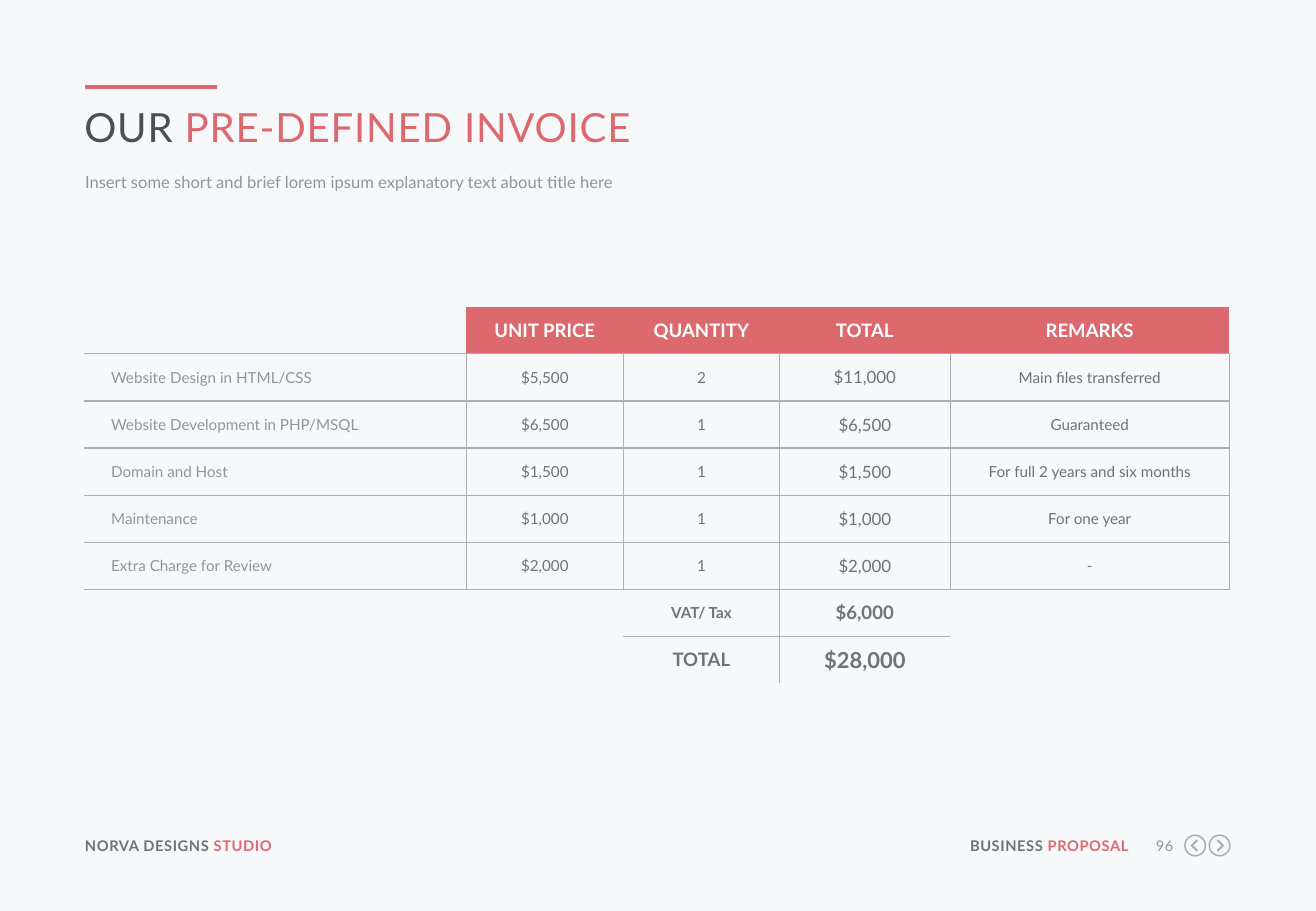
from lxml.etree import SubElement as Sub
from pptx import Presentation
from pptx.dml.color import RGBColor as RGB
from pptx.enum.shapes import MSO_CONNECTOR as Conn, MSO_SHAPE as Shape
from pptx.enum.text import MSO_ANCHOR as Anchor, MSO_AUTO_SIZE as Fit, PP_ALIGN as Align
from pptx.oxml.ns import qn
from pptx.util import Pt

RED, DARK, GREY, SOFT, RULE = "DC696E", "4B5050", "6E7378", "91969B", "AAAFB4"
PAPER, WHITE = "F6F8FA", "FFFFFF"

HEAD = ["", "UNIT PRICE", "QUANTITY", "TOTAL", "REMARKS"]
ITEMS = [
    ["Website Design in HTML/CSS", "$5,500", "2", "$11,000", "Main files transferred"],
    ["Website Development in PHP/MSQL", "$6,500", "1", "$6,500", "Guaranteed"],
    ["Domain and Host", "$1,500", "1", "$1,500", "For full 2 years and six months"],
    ["Maintenance", "$1,000", "1", "$1,000", "For one year"],
    ["Extra Charge for Review", "$2,000", "1", "$2,000", "-"],
]
SUMS = [["", "", "VAT/ Tax", "$6,000", ""], ["", "", "TOTAL", "$28,000", ""]]
WIDTHS = [226.4, 93.3, 92.4, 101.3, 165.3]
ROW = 27.9

# Text sizes and drawn cell sides, row by row
SIZES = [[11] * 5] + [[9, 9, 9, 10, 9]] * len(ITEMS) + [[9, 9, 9, 11, 9], [9, 9, 11, 13, 9]]
SIDES = (
    [["RB"] + ["LRB"] * 4]
    + [["RTB"] + ["LRTB"] * 4] * len(ITEMS)
    + [["T", "T", "RTB", "LTB", "T"], ["", "", "RT", "LT", ""]]
)


def rgb(code):
    return RGB.from_string(code)


class Deck:
    """Holds the font and the current slide."""

    def __init__(self, font, wide, high):
        self.font = font
        self.prs = Presentation()
        self.prs.slide_width, self.prs.slide_height = Pt(wide), Pt(high)
        self.slide = self.prs.slides.add_slide(self.prs.slide_layouts[2])
        self.shapes = self.slide.shapes
        fill = self.slide.background.fill
        fill.solid()
        fill.fore_color.rgb = rgb(PAPER)

    def put(self, para, bits, size, bold=False, gap=0, align=Align.LEFT):
        """Fill a paragraph with (text, colour) runs; gap is letter spacing."""
        para.alignment = align
        for text, hue in bits:
            run = para.add_run()
            run.text = text
            font = run.font
            font.name, font.size, font.bold = self.font, Pt(size), bold
            font.color.rgb = rgb(hue)
            if gap:
                run._r.get_or_add_rPr().set("spc", str(round(gap * 100)))

    def frame(self, shape):
        """Give a shape a plain top-anchored frame; return its paragraph."""
        text = shape.text_frame
        text.word_wrap, text.auto_size = True, Fit.NONE
        text.vertical_anchor = Anchor.TOP
        text.margin_left = text.margin_right = text.margin_top = text.margin_bottom = 0
        return text.paragraphs[0]

    def holder(self, idx, x, y, w, h, bits, size, gap=0, line=None):
        shape = self.slide.placeholders[idx]
        shape.left, shape.top, shape.width, shape.height = Pt(x), Pt(y), Pt(w), Pt(h)
        para = self.frame(shape)
        para.space_before = Pt(0)
        if line:
            para.line_spacing = Pt(line)
        self.put(para, bits, size, gap=gap)

    def label(self, x, y, w, h, bits, bold=True, align=Align.LEFT):
        box = self.shapes.add_textbox(Pt(x), Pt(y), Pt(w), Pt(h))
        self.put(self.frame(box), bits, 8.7, bold, 0.3, align)

    def rule(self, x, y, w, hue, weight):
        line = self.shapes.add_connector(Conn.STRAIGHT, Pt(x), Pt(y), Pt(x + w), Pt(y))
        line.line.color.rgb, line.line.width = rgb(hue), Pt(weight)
        Sub(line._element.spPr, qn("a:effectLst"))

    def stroke(self, shape, weight):
        shape.shadow.inherit = False
        shape.fill.background()
        shape.line.color.rgb, shape.line.width = rgb(RULE), Pt(weight)

    def arrow(self, x, y, way):
        """Draw a ringed chevron centred at x, y; way is -1 left or 1 right."""
        rad = 6.1
        ring = self.shapes.add_shape(Shape.OVAL, Pt(x - rad), Pt(y - rad), Pt(2 * rad), Pt(2 * rad))
        self.stroke(ring, 0.9)
        tail, tip = Pt(x - 1.3 * way), Pt(x + 2 * way)
        pen = self.shapes.build_freeform(tail, Pt(y - 3.2), scale=1.0)
        pen.add_line_segments([(tip, Pt(y)), (tail, Pt(y + 3.2))], close=False)
        self.stroke(pen.convert_to_shape(), 1.2)

    def edge(self, cell, sides, hues):
        """Draw the named sides of a cell and clear the others."""
        props = cell._tc.get_or_add_tcPr()
        for side in "LRTB":
            line = Sub(props, qn("a:ln" + side), w=str(Pt(0.75)))
            if side in sides:
                fill = Sub(line, qn("a:solidFill"))
                Sub(fill, qn("a:srgbClr"), val=hues.get(side, RULE))
            else:
                Sub(line, qn("a:noFill"))

    def table(self, x, y, rows):
        grid = self.shapes.add_table(
            len(rows), len(WIDTHS), Pt(x), Pt(y), Pt(sum(WIDTHS)), Pt(ROW * len(rows))
        ).table
        grid.first_row = grid.horz_banding = False
        for col, wide in zip(grid.columns, WIDTHS):
            col.width = Pt(wide)
        last = len(WIDTHS) - 1
        for r, row in enumerate(rows):
            grid.rows[r].height = Pt(ROW)
            head, total = r == 0, r > len(ITEMS)
            for c, text in enumerate(row):
                cell = grid.cell(r, c)
                item = c == 0 and not head
                cell.margin_right = cell.margin_top = cell.margin_bottom = 0
                cell.margin_left = Pt(16 if item else 0)
                cell.vertical_anchor = Anchor.MIDDLE
                hues = {"L": RED, "R": WHITE if c == last else RED} if head else {}
                self.edge(cell, SIDES[r][c], hues)
                if head and text:
                    cell.fill.solid()
                    cell.fill.fore_color.rgb = rgb(RED)
                else:
                    cell.fill.background()
                if text:
                    hue = WHITE if head else SOFT if item else GREY
                    self.put(
                        cell.text_frame.paragraphs[0], [(text, hue)], SIZES[r][c],
                        head or total, align=Align.LEFT if item else Align.CENTER,
                    )
        end = len(rows) - 1
        grid.cell(end - 1, 0).merge(grid.cell(end, 1))
        grid.cell(end - 1, last).merge(grid.cell(end, last))


def main():
    deck = Deck("Lato", 780, 540)
    left, foot = 50.4, 496.1
    deck.rule(left, 51.6, 78.5, RED, 2.25)
    deck.holder(0, 50, 60.5, 678, 29.5, [("OUR ", DARK), ("PRE-DEFINED INVOICE", RED)], 23.8, 0.5)
    intro = "Insert some short and brief lorem ipsum explanatory text about title here"
    deck.holder(1, left, 100.8, 678, 15, [(intro, SOFT)], 9.8, line=13)
    deck.table(49.9, 181.9, [HEAD] + ITEMS + SUMS)
    deck.label(left, foot, 152, 10.8, [("NORVA DESIGNS ", GREY), ("STUDIO", RED)])
    deck.label(570, foot, 99, 10.8, [("BUSINESS ", GREY), ("PROPOSAL", RED)], align=Align.RIGHT)
    deck.label(677.5, foot, 18, 10.8, [("96", SOFT)], False, Align.RIGHT)
    for x, way in ((708.4, -1), (722.9, 1)):
        deck.arrow(x, 501.2, way)
    deck.prs.save("out.pptx")


if __name__ == "__main__":
    main()
